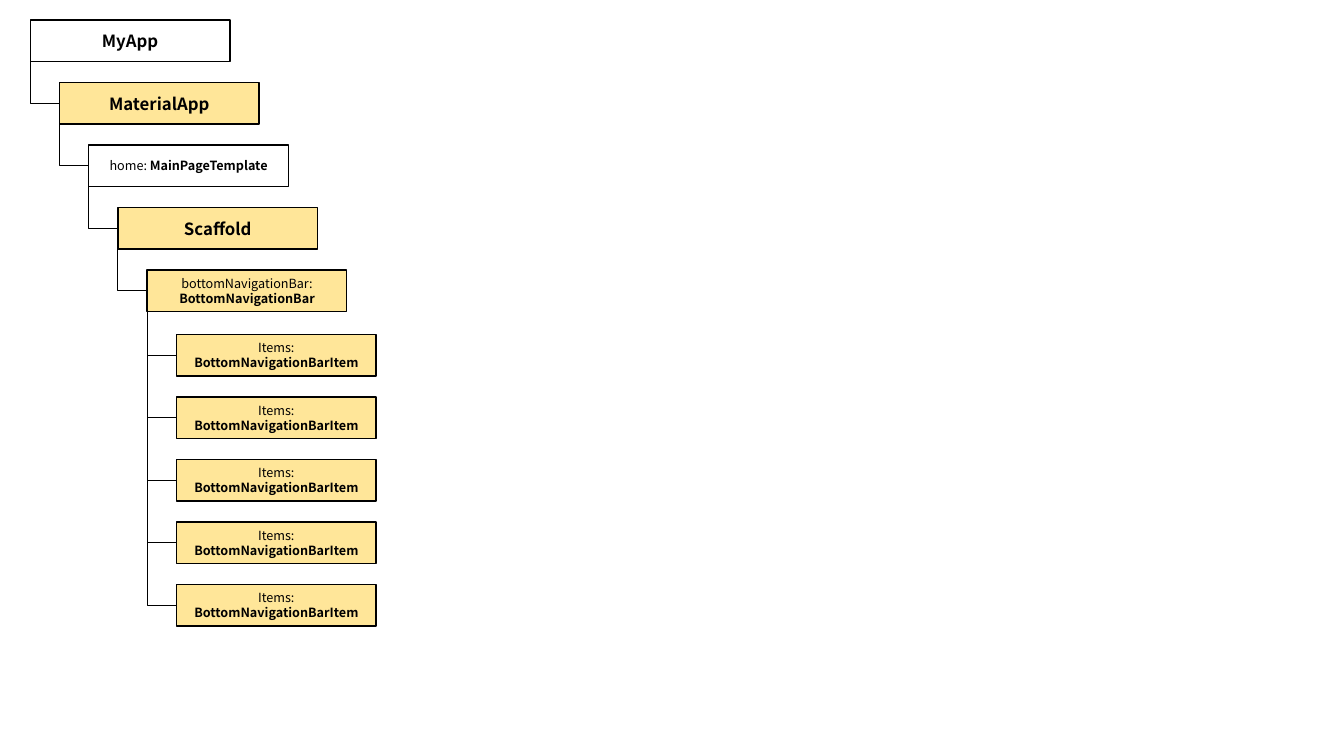
from lxml import etree
from pptx import Presentation
from pptx.dml.color import RGBColor
from pptx.enum.shapes import MSO_CONNECTOR, MSO_SHAPE
from pptx.enum.text import MSO_ANCHOR, PP_ALIGN
from pptx.oxml.ns import qn
from pptx.util import Inches, Pt

RECTANGLE = MSO_SHAPE.RECTANGLE
ELBOW = MSO_CONNECTOR.ELBOW
MIDDLE = MSO_ANCHOR.MIDDLE
CENTER = PP_ALIGN.CENTER
BLACK = RGBColor(0x00, 0x00, 0x00)
YELLOW = RGBColor(0xFF, 0xE6, 0x99)
FONT = "Noto Sans CJK KR"
LEFT, TOP = 0.3, 0.2
WIDTH, HEIGHT = 1.98, 0.41
INDENT, ROW = 0.29, 0.62
ITEMS_TOP = 3.32
ITEM_COUNT = 5

deck = Presentation()
deck.slide_width = Inches(13.33)
deck.slide_height = Inches(7.5)
page = deck.slides.add_slide(deck.slide_layouts[6])


def add_widget(name, left, top, label="", size=9, fill=None):
    box = page.shapes.add_shape(RECTANGLE, Inches(left), Inches(top), Inches(WIDTH), Inches(HEIGHT))
    box.shadow.inherit = False
    box.line.color.rgb = BLACK
    box.line.width = Pt(1)
    if fill is None:
        box.fill.background()
    else:
        box.fill.solid()
        box.fill.fore_color.rgb = fill
    frame = box.text_frame
    frame.word_wrap = True
    frame.vertical_anchor = MIDDLE
    para = frame.paragraphs[0]
    para.alignment = CENTER
    for text, bold in ((label, False), (name, True)):
        if text:
            span = para.add_run()
            span.text = text
            span.font.name = FONT
            span.font.size = Pt(size)
            span.font.bold = bold
            span.font.color.rgb = BLACK


def add_branch(left, top):
    end = top + HEIGHT / 2
    branch = page.shapes.add_connector(
        ELBOW, Inches(left - INDENT), Inches(end - ROW), Inches(left), Inches(end))
    branch.line.color.rgb = BLACK
    branch.line.width = Pt(0.5)
    properties = branch._element.spPr
    etree.SubElement(properties, qn("a:effectLst"))
    guides = properties.find(qn("a:prstGeom")).find(qn("a:avLst"))
    etree.SubElement(guides, qn("a:gd"), name="adj1", fmla="val -1100")


ancestors = [
    ("MyApp", "", 12, None),
    ("MaterialApp", "", 12, YELLOW),
    ("MainPageTemplate", "home: ", 9, None),
    ("Scaffold", "", 12, YELLOW),
    ("BottomNavigationBar", "bottomNavigationBar: ", 9, YELLOW),
]
for depth, (name, label, size, fill) in enumerate(ancestors):
    left, top = LEFT + depth * INDENT, TOP + depth * ROW
    add_widget(name, left, top, label=label, size=size, fill=fill)
    if depth:
        add_branch(left, top)

items_left = LEFT + len(ancestors) * INDENT
for index in range(ITEM_COUNT):
    top = ITEMS_TOP + index * ROW
    add_widget("BottomNavigationBarItem", items_left, top, label="Items: ", fill=YELLOW)
    add_branch(items_left, top)

deck.save("out.pptx")
